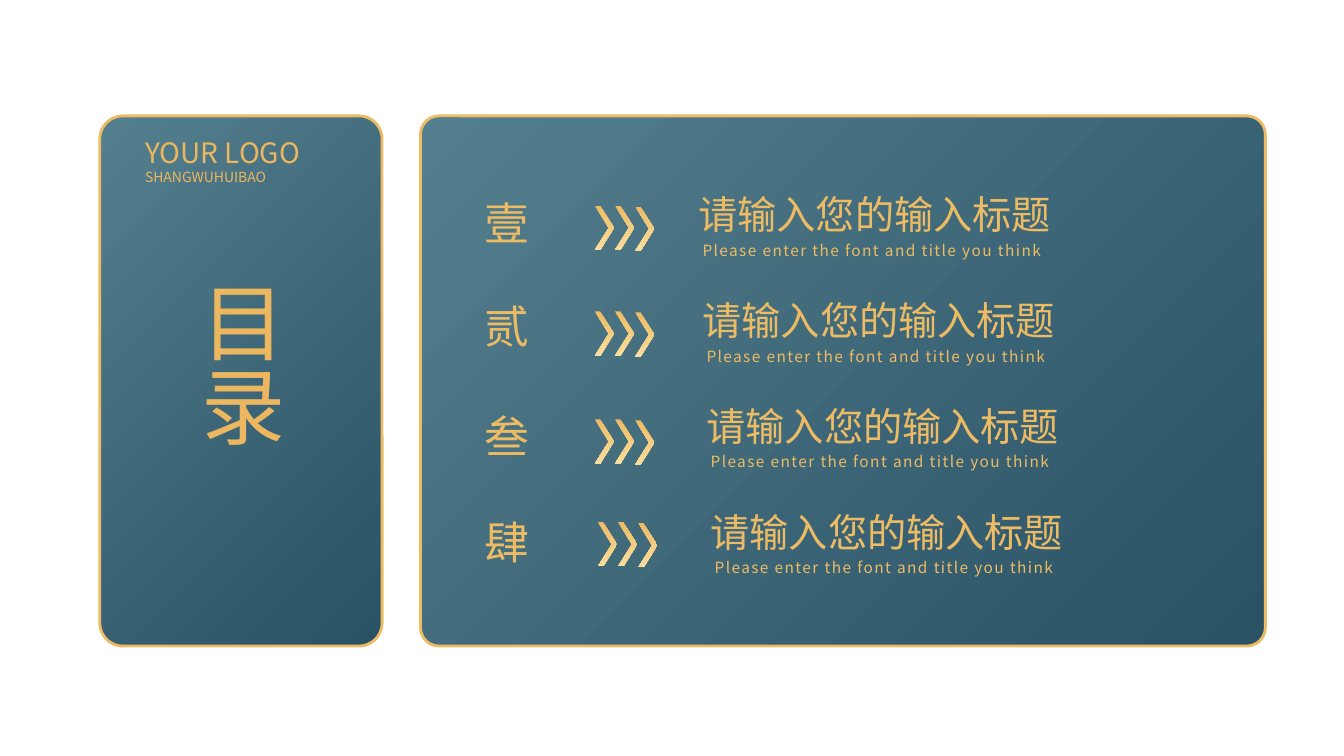
from lxml import etree
from pptx import Presentation
from pptx.dml.color import RGBColor
from pptx.enum.shapes import MSO_SHAPE
from pptx.enum.text import MSO_ANCHOR, MSO_AUTO_SIZE, PP_ALIGN
from pptx.oxml.ns import qn
from pptx.util import Inches, Pt

ROUNDED = MSO_SHAPE.ROUNDED_RECTANGLE
CHEVRON = MSO_SHAPE.CHEVRON
TOP = MSO_ANCHOR.TOP
GROW = MSO_AUTO_SIZE.SHAPE_TO_FIT_TEXT
JUSTIFY = PP_ALIGN.JUSTIFY

# Content
HEADING = "目录"
LOGO_LINES = [("YOUR LOGO", 1.3, 0.44, 20), ("SHANGWUHUIBAO", 1.62, 0.27, 10)]
ENTRY_TITLE = "请输入您的输入标题"
ENTRY_SUBTITLE = "Please enter the font and title you think"
# numeral, numeral top, chevrons left, chevrons top
ENTRIES = [
    ("壹", 1.89, 5.9, 2.04),
    ("贰", 2.91, 5.9, 3.09),
    ("叁", 4.01, 5.9, 4.16),
    ("肆", 5.06, 5.93, 5.18),
]

# Style
FONT = "Noto Sans CJK SC"
TEAL = (RGBColor(0x54, 0x7F, 0x8E), RGBColor(0x29, 0x52, 0x65))
GOLD = (RGBColor(0xED, 0xBB, 0x64), RGBColor(0xF8, 0xDE, 0x9F))
LOGO_GOLD = (RGBColor(0xEC, 0xB7, 0x5E), RGBColor(0xF8, 0xDF, 0xA1))

# Layout, in inches
PANEL_TOP, PANEL_HEIGHT = 1.15, 5.26
ENTRY_LEFT, ENTRY_TOP, ENTRY_WIDTH = 6.83, 1.84, 4.67
ENTRY_STEP_X, ENTRY_STEP_Y = 0.04, 1.05
SUBTITLE_DX, SUBTITLE_DY = 0.04, 0.5
CHEVRON_STEP = 0.2
CHEVRON_DROPS = (0, 0, 0.01)


def set_gradient(fill, parent, colors, clockwise):
    """Fill with two colours; parent is the XML element that holds the fill."""
    fill.gradient()
    for stop, position, color in zip(fill.gradient_stops, (0, 1), colors):
        stop.position = position
        stop.color.rgb = color
    gradient = parent.find(qn("a:gradFill"))
    for child in list(gradient):
        if child.tag != qn("a:gsLst"):
            gradient.remove(child)
    direction = etree.SubElement(gradient, qn("a:lin"))
    direction.set("ang", str(clockwise * 60000))
    direction.set("scaled", "0")


def place(shape, box):
    shape.left, shape.top, shape.width, shape.height = map(Inches, box)


def write(text, box, size, colors=GOLD, angle=315, spacing=None,
          vertical=False, holder=None):
    holder = holder or slide.shapes.add_textbox(0, 0, 0, 0)
    place(holder, box)
    frame = holder.text_frame
    frame.word_wrap = True
    frame.auto_size = GROW
    frame.vertical_anchor = TOP
    if vertical:
        frame._txBody.bodyPr.set("vert", "eaVert")
    paragraph = frame.paragraphs[0]
    paragraph.alignment = JUSTIFY
    run = paragraph.add_run()
    run.text = text
    run.font.size = Pt(size)
    run.font.name = FONT
    properties = run._r.get_or_add_rPr()
    set_gradient(run.font.fill, properties, colors, angle)
    etree.SubElement(properties, qn("a:ea")).set("typeface", FONT)
    if spacing:
        properties.set("spc", str(spacing * 100))


def draw(kind, box, adjustment, colors, angle):
    shape = slide.shapes.add_shape(kind, *map(Inches, box))
    shape.adjustments[0] = adjustment
    shape.shadow.inherit = False
    set_gradient(shape.fill, shape._element.spPr, colors, angle)
    shape.line.fill.background()
    return shape


def draw_panel(left, width, corner):
    panel = draw(ROUNDED, (left, PANEL_TOP, width, PANEL_HEIGHT),
                 corner, TEAL, 45)
    panel.line.width = Pt(2)
    outline = panel._element.spPr.find(qn("a:ln"))
    set_gradient(panel.line.fill, outline, GOLD, 45)
    return panel


deck = Presentation()
deck.slide_width, deck.slide_height = Inches(13.33), Inches(7.5)
slide = deck.slides.add_slide(deck.slide_layouts[5])

# Heading panel, with the title brought in front of it
heading_panel = draw_panel(0.99, 2.8, 0.082)
heading = slide.shapes.title
heading_panel._element.addnext(heading._element)
write(HEADING, (1.78, 2.73, 1.21, 2.41), 60, colors=LOGO_GOLD, angle=225,
      vertical=True, holder=heading)
for text, top, height, size in LOGO_LINES:
    write(text, (1.34, top, 2.1, height), size, colors=LOGO_GOLD, angle=225)

# Contents panel
draw_panel(4.17, 8.38, 0.035)
for row, (numeral, numeral_top, arrows_left, arrows_top) in enumerate(ENTRIES):
    left = ENTRY_LEFT + row * ENTRY_STEP_X
    top = ENTRY_TOP + row * ENTRY_STEP_Y
    write(numeral, (4.71, numeral_top, 1.14, 0.64), 32)
    for column, drop in enumerate(CHEVRON_DROPS):
        draw(CHEVRON, (arrows_left + column * CHEVRON_STEP,
                       arrows_top + drop, 0.19, 0.44), 0.724, GOLD, 90)
    write(ENTRY_TITLE, (left, top, ENTRY_WIDTH, 0.57), 28)
    write(ENTRY_SUBTITLE, (left + SUBTITLE_DX, top + SUBTITLE_DY,
                           ENTRY_WIDTH, 0.29), 11, spacing=1)

deck.save("out.pptx")
